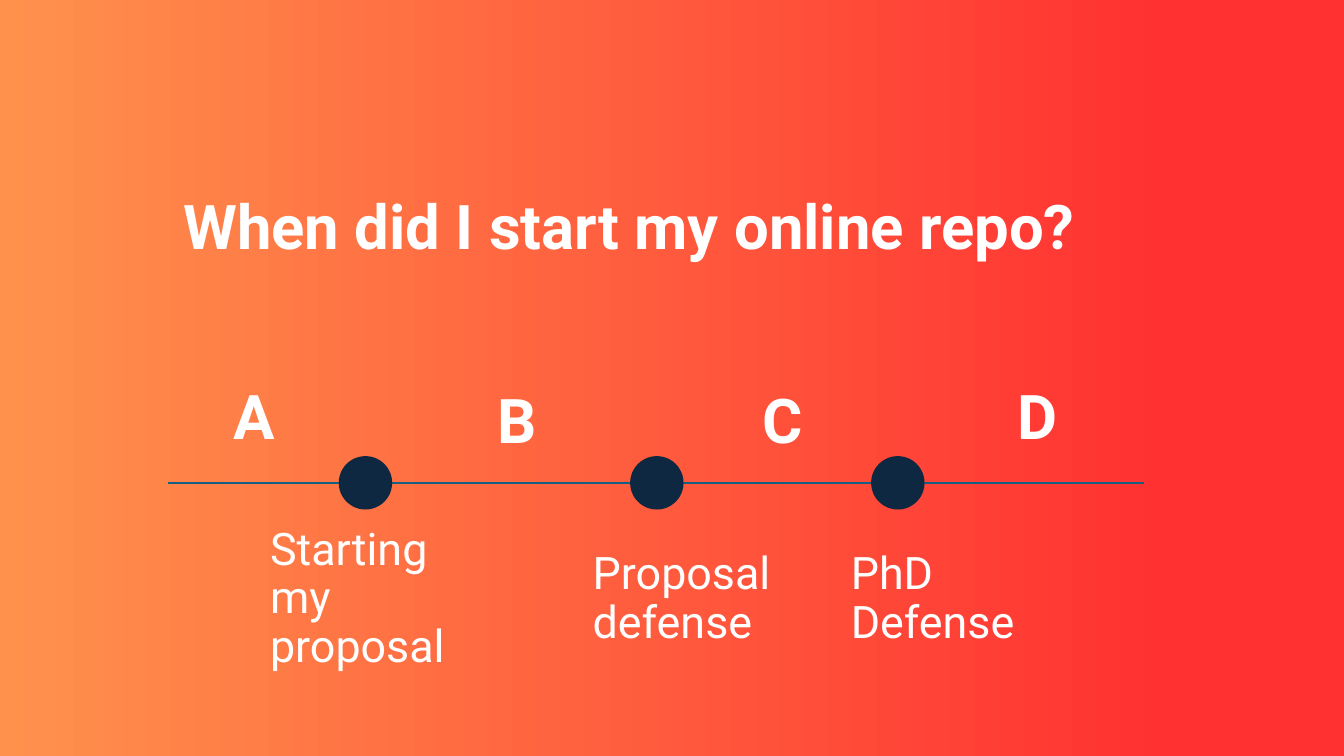
"""Build a timeline slide asking when the repo was started."""
import pptx
import pptx.util
import pptx.dml.color
import pptx.enum.shapes
import pptx.enum.text
import pptx.oxml

Inches = pptx.util.Inches
RGBColor = pptx.dml.color.RGBColor

TITLE = ("When did I start my online repo?", 1.72, 1.55, 9.9)
LABELS = [
    ("Proposal defense", 5.78, 2.07),
    ("PhD\nDefense", 8.34, 2.07),
    ("Starting my proposal", 2.58, 2.41),
]
LETTERS = [("A", 2.22, 3.44), ("B", 4.84, 3.48), ("C", 7.46, 3.48), ("D", 9.99, 3.44)]
DOTS = [3.36, 6.25, 8.64]
DOT = 0.53
AXIS = (1.67, 11.35, 4.79)
LABEL_TOP = 5.22
BOX_H = 1.45
FONT = "Roboto"

WHITE = RGBColor(0xFF, 0xFF, 0xFF)
NAVY = RGBColor(0x0E, 0x28, 0x41)
TEAL = RGBColor(0x15, 0x60, 0x82)
STOPS = [(0, RGBColor(0xFF, 0x91, 0x4D)), (0.87, RGBColor(0xFF, 0x31, 0x31))]


def paint(slide):
    fill = slide.background.fill
    fill.gradient()
    fill.gradient_angle = 0
    for stop, (place, color) in zip(fill.gradient_stops, STOPS):
        stop.position = place
        stop.color.rgb = color


def write(slide, text, left, top, width, size, bold):
    box = slide.shapes.add_textbox(Inches(left), Inches(top), Inches(width), Inches(BOX_H))
    frame = box.text_frame
    frame.word_wrap = True
    frame.vertical_anchor = pptx.enum.text.MSO_ANCHOR.MIDDLE
    para = frame.paragraphs[0]
    para.text = text
    para.line_spacing = 0.9
    font = para.font
    font.name = FONT
    font.size = pptx.util.Pt(size)
    font.bold = bold
    font.color.rgb = WHITE


def draw_axis(slide):
    start, end, level = map(Inches, AXIS)
    line = slide.shapes.add_connector(
        pptx.enum.shapes.MSO_CONNECTOR.STRAIGHT, start, level, end, level)
    line.line.color.rgb = TEAL
    line.line.width = pptx.util.Pt(1.5)
    props = line._element.spPr
    props.append(pptx.oxml.parse_xml(
        '<a:effectLst xmlns:a="http://schemas.openxmlformats.org/drawingml/2006/main"/>'))


def draw_dot(slide, left):
    dot = slide.shapes.add_shape(
        pptx.enum.shapes.MSO_SHAPE.OVAL,
        Inches(left), Inches(AXIS[2] - DOT / 2), Inches(DOT), Inches(DOT))
    dot.shadow.inherit = False
    dot.fill.solid()
    dot.fill.fore_color.rgb = NAVY
    dot.line.fill.background()


def main():
    deck = pptx.Presentation()
    deck.slide_width = Inches(13.33)
    deck.slide_height = Inches(7.5)
    slide = deck.slides.add_slide(deck.slide_layouts[6])
    paint(slide)
    write(slide, *TITLE, 44, True)
    draw_axis(slide)
    for left in DOTS:
        draw_dot(slide, left)
    for text, left, width in LABELS:
        write(slide, text, left, LABEL_TOP, width, 32, False)
    for text, left, top in LETTERS:
        write(slide, text, left, top, 0.75, 44, True)
    deck.save("out.pptx")


if __name__ == "__main__":
    main()
